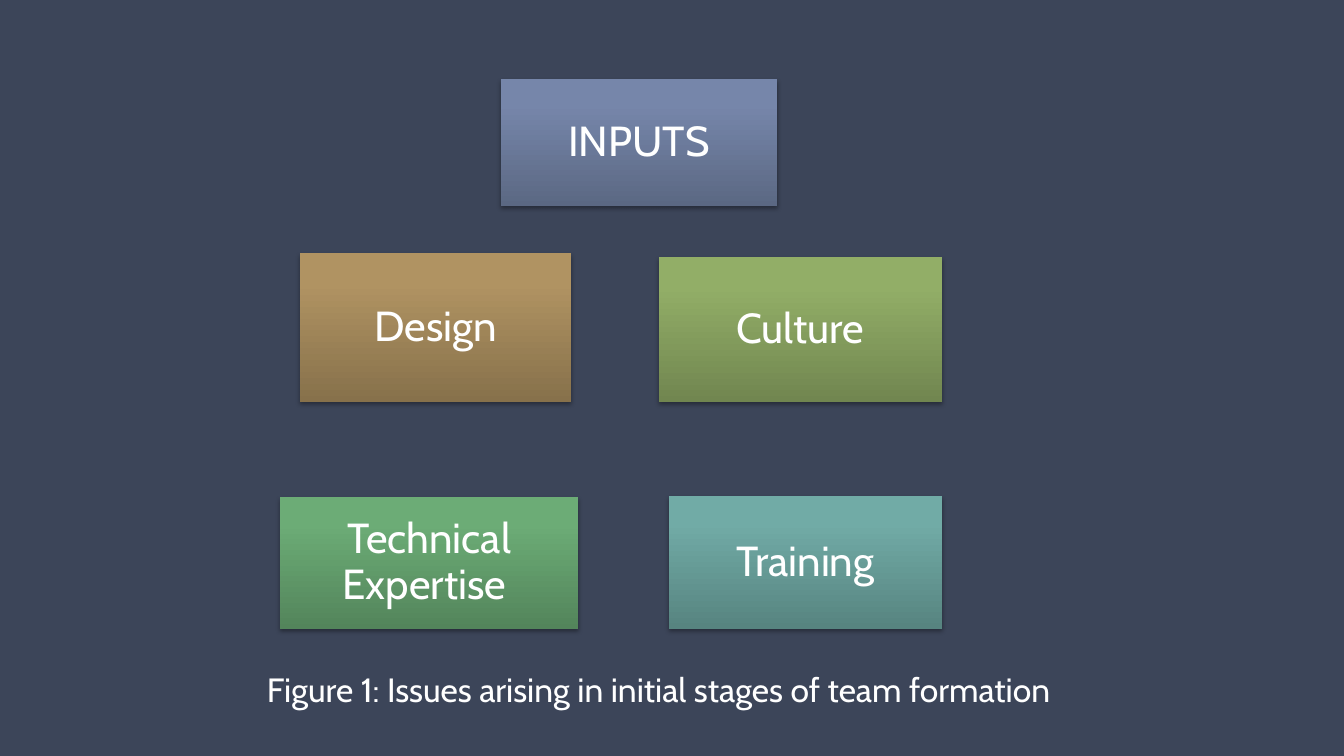
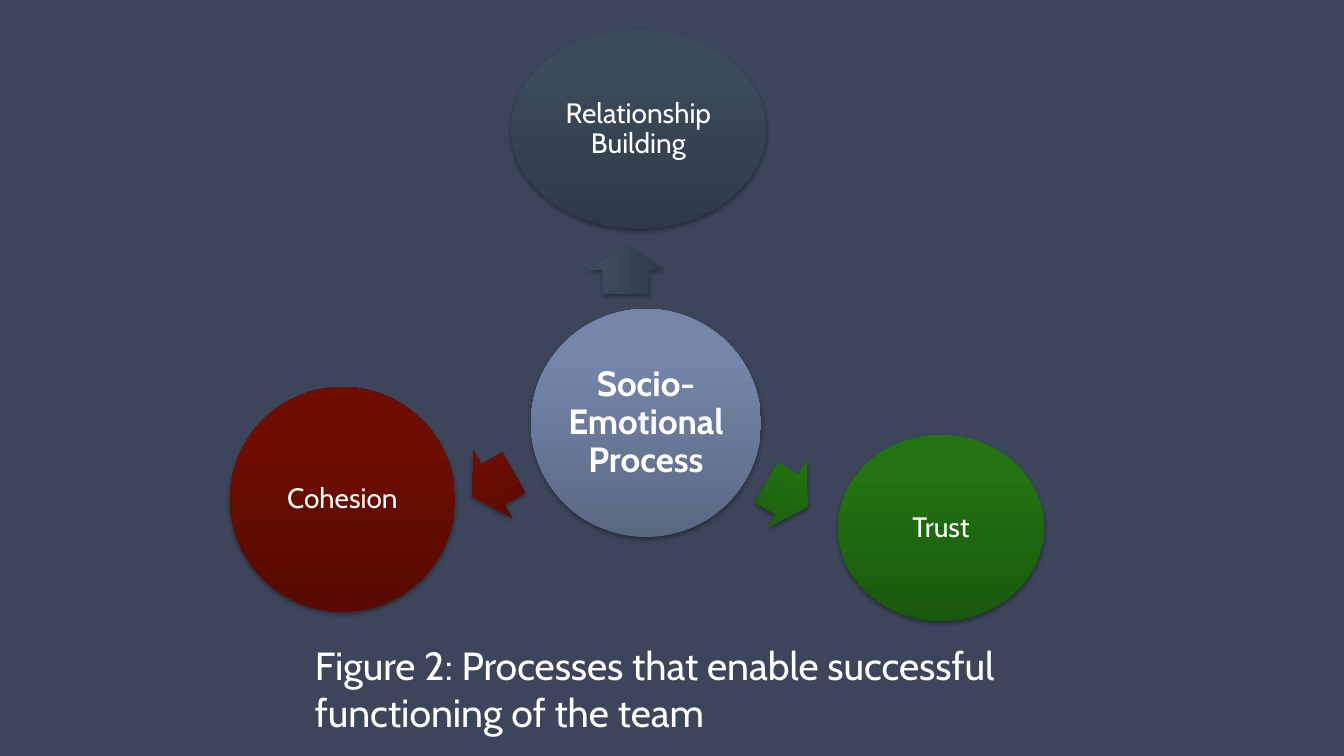
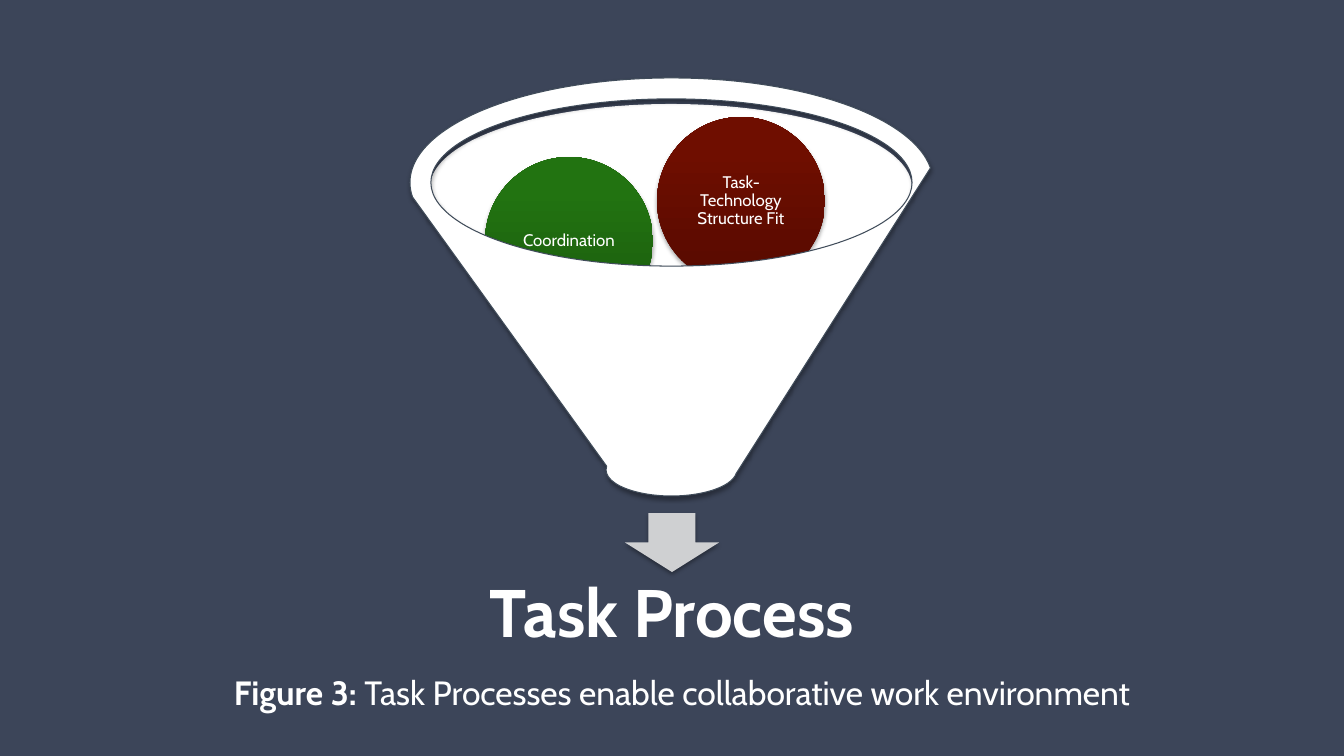
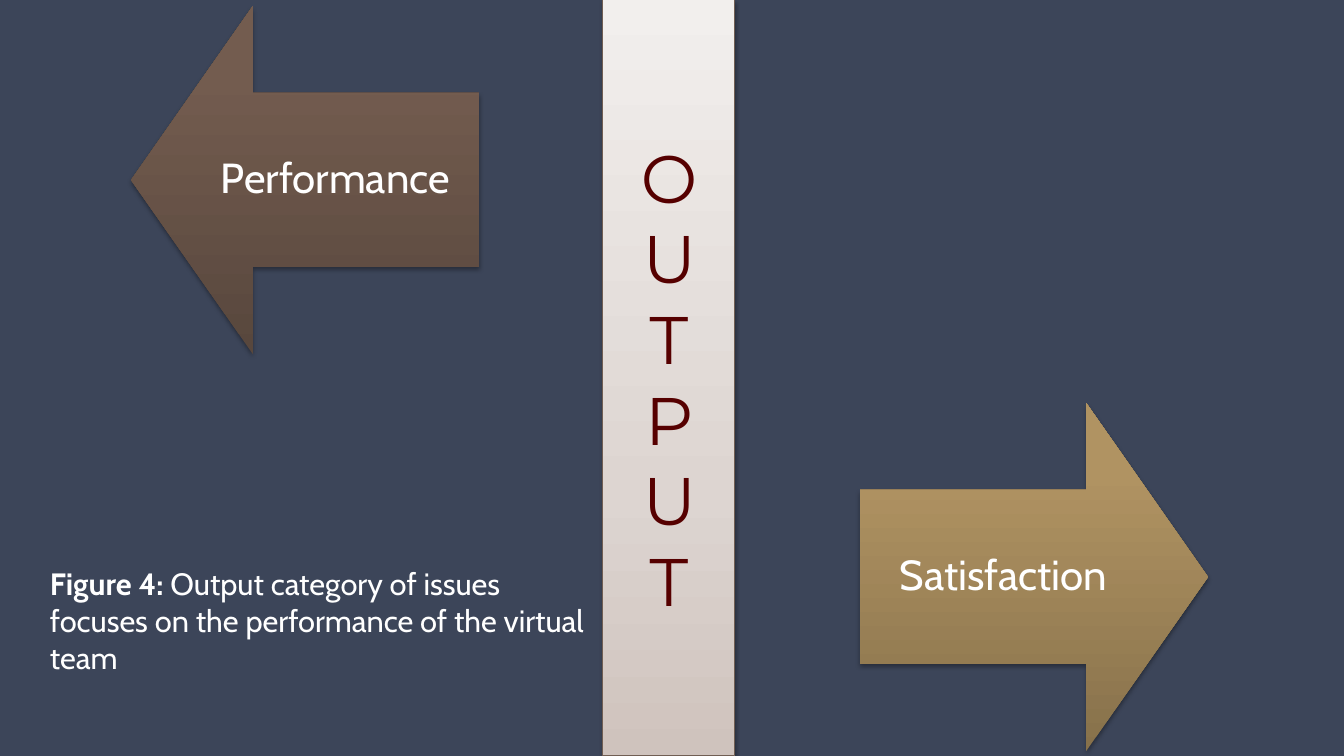
from pptx import Presentation
from pptx.dml.color import RGBColor
from pptx.enum.shapes import MSO_SHAPE
from pptx.enum.text import MSO_ANCHOR, MSO_AUTO_SIZE, PP_ALIGN
from pptx.oxml import parse_xml
from pptx.oxml.ns import nsdecls, qn
from pptx.util import Emu, Pt

RECTANGLE, OVAL, FUNNEL = MSO_SHAPE.RECTANGLE, MSO_SHAPE.OVAL, MSO_SHAPE.FUNNEL
LEFT, RIGHT, DOWN = MSO_SHAPE.LEFT_ARROW, MSO_SHAPE.RIGHT_ARROW, MSO_SHAPE.DOWN_ARROW
TOP, MIDDLE, CENTER = MSO_ANCHOR.TOP, MSO_ANCHOR.MIDDLE, PP_ALIGN.CENTER
GROW = MSO_AUTO_SIZE.SHAPE_TO_FIT_TEXT

PX = 914400 / 100.8
WIDTH, HEIGHT = 1344, 756
BODY_FONT, BANNER_FONT = "Cabin", "Montserrat"

COLORS = {
    "background": "3C4559",
    "white": "FFFFFF",
    "silver": "CFD0D2",
    "funnel edge": "404C5A",
    "banner edge": "705E53",
    "banner text": "560000",
}
# Each gradient runs upwards: position in percent, colour
GRADIENTS = {
    "blue": [(0, "5B6883"), (80, "7686AA"), (100, "7687AB")],
    "gold": [(0, "87714B"), (80, "B09362"), (100, "B29461")],
    "olive": [(0, "718650"), (80, "92AE67"), (100, "93B066")],
    "mint": [(0, "53855B"), (80, "6CAC76"), (100, "6BAE76")],
    "teal": [(0, "578480"), (80, "71ABA6"), (100, "71ADA8")],
    "slate": [(0, "2E3A47"), (80, "3C4B5C"), (100, "3C4C5D")],
    "green": [(0, "1A590D"), (80, "227311"), (100, "21750F")],
    "red": [(0, "560A00"), (80, "6F0E00"), (100, "700E00")],
    "brown": [(0, "58473D"), (80, "735C4F"), (100, "745C4F")],
    "banner": [(0, "CFC3BD"), (35, "DDD5D1"), (100, "F2EFED")],
}


def px(length):
    return Emu(round(length * PX))


def color(name):
    return RGBColor.from_string(COLORS[name])


class Deck:
    """Holds the shared style and the current slide."""

    def __init__(self):
        self.deck = Presentation()
        self.deck.slide_width, self.deck.slide_height = px(WIDTH), px(HEIGHT)
        fill = self.deck.slide_master.background.fill
        fill.solid()
        fill.fore_color.rgb = color("background")
        self.page = None

    def new_page(self):
        self.page = self.deck.slides.add_slide(self.deck.slide_layouts[6])

    def paint(self, shape, fill):
        """Fill with a named gradient or a plain colour."""
        if fill not in GRADIENTS:
            shape.fill.solid()
            shape.fill.fore_color.rgb = color(fill)
            return
        shape.fill.gradient()
        shape.fill.gradient_angle = 90
        stops = shape.element.spPr.find(".//" + qn("a:gsLst"))
        for stop in list(stops):
            stops.remove(stop)
        for position, value in GRADIENTS[fill]:
            stops.append(parse_xml(
                f'<a:gs {nsdecls("a")} pos="{position * 1000}">'
                f'<a:srgbClr val="{value}"/></a:gs>'))

    def shape(self, kind, box, fill, edge=None, shadow=True, turn=0, adjust=()):
        shape = self.page.shapes.add_shape(kind, *map(px, box))
        shape.rotation = turn
        for index, value in enumerate(adjust):
            shape.adjustments[index] = value
        self.paint(shape, fill)
        if edge:
            shape.line.color.rgb = color(edge)
            shape.line.width = Pt(0.75)
        else:
            shape.line.fill.background()
        shape.shadow.inherit = False
        if shadow:
            shape.element.spPr.find(qn("a:effectLst")).append(parse_xml(
                f'<a:outerShdw {nsdecls("a")} blurRad="40000" dist="23000" '
                'dir="5400000" rotWithShape="0"><a:srgbClr val="000000">'
                '<a:alpha val="35000"/></a:srgbClr></a:outerShdw>'))
        return shape

    def label(self, shape, text, size, inset, bold=False, font=BODY_FONT,
              ink="white", anchor=MIDDLE, spacing=0.9):
        """Put one centred paragraph into a shape."""
        frame = shape.text_frame
        frame.word_wrap = True
        frame.vertical_anchor = anchor
        frame.margin_left = frame.margin_right = px(inset)
        frame.margin_top = frame.margin_bottom = px(inset)
        para = frame.paragraphs[0]
        para.alignment = CENTER
        para.line_spacing = spacing
        para.add_run().text = text
        self.style(para, size, font, ink, bold)

    def style(self, para, size, font=BODY_FONT, ink="white", bold=None):
        para.font.size = Pt(size)
        para.font.name = font
        para.font.bold = bold
        para.font.color.rgb = color(ink)

    def block(self, box, fill, text):
        self.label(self.shape(RECTANGLE, box, fill), text, 30, inset=20)

    def circle(self, box, fill, text, size=20, bold=False):
        self.label(self.shape(OVAL, box, fill), text, size, inset=2, bold=bold)

    def small_arrow(self, kind, left, top, fill, turn):
        self.shape(kind, (left, top, 48, 77), fill, turn=turn, adjust=(0.6, 0.5))

    def big_arrow(self, kind, left, top, fill, text):
        arrow = self.shape(kind, (left, top, 348, 348), fill, adjust=(0.5, 0.35))
        self.label(arrow, text, 30, inset=23)

    def heading(self, box, text, size):
        text_box = self.page.shapes.add_textbox(*map(px, box))
        self.label(text_box, text, size, inset=28, bold=True)

    def banner(self, box, text):
        bar = self.shape(RECTANGLE, box, "banner", edge="banner edge")
        self.label(bar, text, 48, inset=8, font=BANNER_FONT, ink="banner text",
                   anchor=TOP, spacing=1.0)
        bar.element.txBody.find(qn("a:bodyPr")).set("vert", "wordArtVert")

    def caption(self, box, text, size, lead=""):
        """Figure caption, with an optional bold lead-in."""
        text_box = self.page.shapes.add_textbox(*map(px, box))
        frame = text_box.text_frame
        frame.word_wrap = True
        frame.auto_size = GROW
        para = frame.paragraphs[0]
        self.style(para, size)
        for words, bold in ((lead, True), (text, False)):
            if words:
                span = para.add_run()
                span.text = words
                span.font.bold = bold


def inputs_page(deck):
    deck.new_page()
    for box, fill, text in (
        ((300, 253, 271, 149), "gold", "Design"),
        ((659, 257, 283, 145), "olive", "Culture"),
        ((280, 497, 298, 132), "mint", "Technical Expertise "),
        ((669, 496, 273, 133), "teal", "Training"),
        ((501, 79, 276, 127), "blue", "INPUTS"),
    ):
        deck.block(box, fill, text)
    deck.caption((257, 664, 835, 50),
                 "Figure 1: Issues arising in initial stages of team formation", 24)


def social_page(deck):
    deck.new_page()
    deck.circle((531, 309, 230, 228), "blue", "Socio-Emotional Process", 25, bold=True)
    # Each outer circle with the arrow that leads to it
    for fill, arrow, box, text in (
        ("slate", (RIGHT, 602, 231, 270), (511, 30, 255, 199), "Relationship Building"),
        ("green", (RIGHT, 763, 456, 30), (838, 435, 206, 186), "Trust"),
        ("red", (LEFT, 469, 446, 330), (230, 387, 225, 225), "Cohesion"),
    ):
        kind, left, top, turn = arrow
        deck.small_arrow(kind, left, top, fill, turn)
        deck.circle(box, fill, text)
    deck.caption((305, 636, 736, 105),
                 "Figure 2: Processes that enable successful functioning of the team", 28)


def task_page(deck):
    deck.new_page()
    deck.shape(OVAL, (430, 104, 482, 167), "white", shadow=False)
    deck.shape(DOWN, (625, 513, 94, 59), "silver")
    deck.heading((448, 560, 448, 112), "Task Process", 48)
    # Balls inside the funnel
    deck.circle((485, 157, 168, 168), "green", "Coordination", 12)
    deck.circle((657, 117, 168, 168), "red", "Task-Technology Structure Fit", 12)
    deck.shape(FUNNEL, (410, 78, 523, 418), "white", edge="funnel edge")
    deck.caption((224, 667, 1087, 50),
                 "Task Processes enable collaborative work environment", 24,
                 lead="Figure 3: ")


def output_page(deck):
    deck.new_page()
    deck.big_arrow(LEFT, 131, 6, "brown", "Performance")
    deck.banner((603, 0, 132, HEIGHT), "OUTPUT")
    deck.big_arrow(RIGHT, 860, 403, "gold", "Satisfaction")
    deck.caption((40, 560, 568, 122),
                 "Output category of issues focuses on the performance "
                 "of the virtual team", 22, lead="Figure 4: ")


def main():
    deck = Deck()
    for build in (inputs_page, social_page, task_page, output_page):
        build(deck)
    deck.deck.save("out.pptx")


if __name__ == "__main__":
    main()
